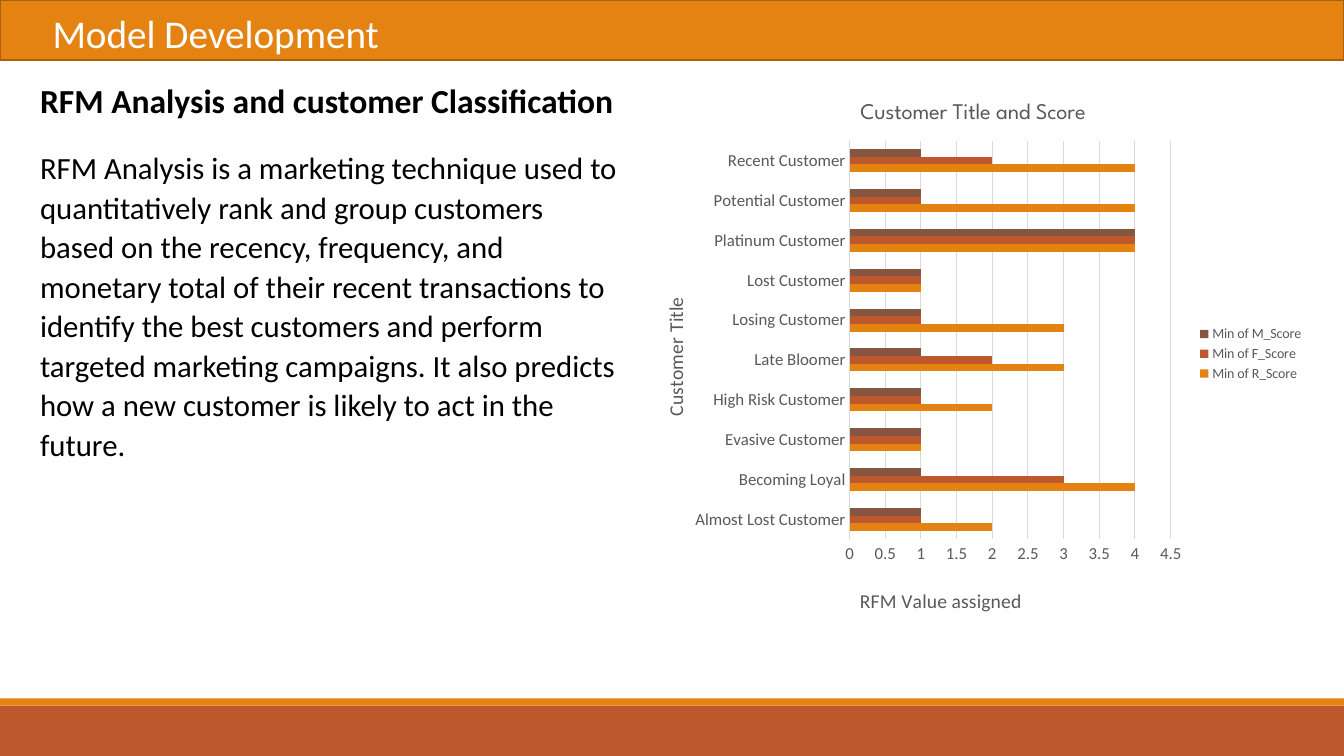
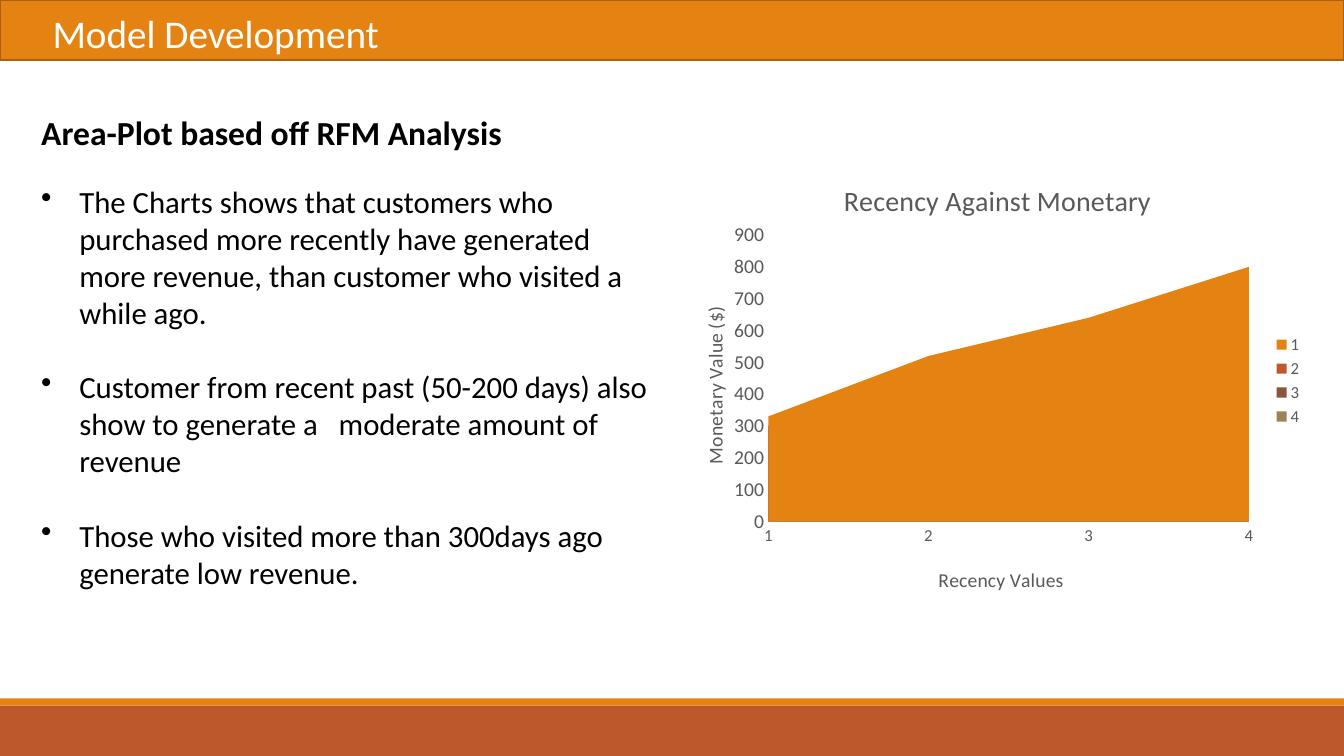
from lxml import etree
from pptx import Presentation
from pptx.chart.data import CategoryChartData
from pptx.dml.color import RGBColor
from pptx.enum import chart as c, shapes, text as t
from pptx.oxml.ns import qn
from pptx.util import Cm, Pt

rgb = RGBColor.from_string
ORANGE, RUST, BROWN, OLIVE = "E48312", "BD582C", "865640", "9B8357"
EDGE, WHITE, BLACK, GREY, RULE = "A9610D", "FFFFFF", "000000", "595959", "D9D9D9"
FONT = "Calibri"
WIDTH, HEIGHT = 33.87, 19.05
BAND_TOP, STRIPE = 17.78, 0.18


def write(tf, text, size, color=BLACK, bold=False, font=FONT, after=0, spacing=None, bullet=False):
    """Fill the first paragraph of the frame, or add one when it is taken."""
    p = tf.add_paragraph() if tf.text else tf.paragraphs[0]
    r = p.add_run()
    r.text = text
    r.font.size, r.font.bold, r.font.name = Pt(size), bold, font
    r.font.color.rgb = rgb(color)
    p.space_after = Pt(after)
    if spacing:
        p.line_spacing = spacing
    if bullet:
        pPr = p._p.get_or_add_pPr()
        pPr.set("marL", str(Cm(0.96)))
        pPr.set("indent", str(-Cm(0.96)))
        etree.SubElement(pPr, qn("a:buChar")).set("char", "•")
    return p


def place(element, index, **fractions):
    """Give a chart part a manual layout in fractions of the chart area."""
    for old in element.findall(qn("c:layout")):
        element.remove(old)
    layout = etree.Element(qn("c:layout"))
    manual = etree.SubElement(layout, qn("c:manualLayout"))
    if "w" in fractions:
        etree.SubElement(manual, qn("c:layoutTarget")).set("val", "inner")
    for side in "xy":
        etree.SubElement(manual, qn(f"c:{side}Mode")).set("val", "edge")
    for name, value in fractions.items():
        etree.SubElement(manual, qn(f"c:{name}")).set("val", str(value))
    element.insert(index, layout)


SLIDES = [
    {
        "boxes": [
            ((0.76, 3.56, 15.14, 10.82), [
                ("RFM Analysis is a marketing technique used to quantitatively rank and group "
                 "customers based on the recency, frequency, and monetary total of their recent "
                 "transactions to identify the best customers and perform targeted marketing "
                 "campaigns. It also predicts how a new customer is likely to act in the future.",
                 dict(size=22, after=8, spacing=1.07)),
            ]),
            ((0.76, 1.9, 15.47, 1.27), [
                ("RFM Analysis and customer Classification", dict(size=24, bold=True)),
            ]),
        ],
        "type": c.XL_CHART_TYPE.BAR_CLUSTERED,
        "at": (15.9, 2.03, 17.22, 13.77),
        "plot": dict(x=0.32, y=0.11, w=0.47, h=0.73),
        "title": ("Customer Title and Score", 16, "League Spartan", 0.33, 0.03),
        "cat_title": ("Customer Title", 0.04, 0.39),
        "val_title": ("RFM Value assigned", 0.33, 0.92),
        "val_size": 12, "legend_size": 10, "max": 4.5, "unit": 0.5,
        "cats": ["Almost Lost Customer", "Becoming Loyal", "Evasive Customer",
                 "High Risk Customer", "Late Bloomer", "Losing Customer", "Lost Customer",
                 "Platinum Customer", "Potential Customer", "Recent Customer"],
        "series": [
            ("Min of R_Score", [2, 4, 1, 2, 3, 3, 1, 4, 4, 4]),
            ("Min of F_Score", [1, 3, 1, 1, 2, 1, 1, 4, 1, 2]),
            ("Min of M_Score", [1, 1, 1, 1, 1, 1, 1, 4, 1, 1]),
        ],
    },
    {
        "boxes": [
            ((0.79, 2.69, 16.15, 14.1), [
                ("Area-Plot based off RFM Analysis", dict(size=24, bold=True, after=22)),
                ("The Charts shows that customers who purchased more recently have generated "
                 "more revenue, than customer who visited a while ago.",
                 dict(size=22, after=26.8, bullet=True)),
                ("Customer from recent past (50-200 days) also show to generate a   moderate "
                 "amount of revenue", dict(size=22, after=26.8, bullet=True)),
                ("Those who visited more than 300days ago generate low revenue.",
                 dict(size=22, bullet=True)),
            ]),
        ],
        "type": c.XL_CHART_TYPE.AREA,
        "at": (16.94, 3.86, 16.15, 11.46),
        "plot": dict(x=0.15, y=0.18, w=0.75, h=0.63),
        "title": ("Recency Against Monetary", 20, FONT, 0.26, 0.05),
        "cat_title": ("Recency Values", 0.41, 0.9),
        "val_title": ("Monetary Value ($)", 0.04, 0.33),
        "val_size": 14, "legend_size": 12, "max": 900, "unit": 100,
        "cats": ["1", "2", "3", "4"],
        "series": [
            ("1", [330, 520, 640, 800]),
            ("2", [300, 460, 560, 710]),
            ("3", [300, 440, 550, 680]),
            ("4", [290, 440, 540, 690]),
        ],
    },
]

prs = Presentation()
prs.slide_width, prs.slide_height = Cm(WIDTH), Cm(HEIGHT)
layout = prs.slide_layouts[5]
for ph in list(layout.placeholders):
    if ph.placeholder_format.type == shapes.PP_PLACEHOLDER.TITLE:
        ph.left, ph.top, ph.width, ph.height = Cm(1.07), Cm(0.1), Cm(9.75), Cm(1.45)
    else:
        ph._element.getparent().remove(ph._element)
slides = [prs.slides.add_slide(layout) for _ in SLIDES]

# Bands are drawn once and moved to the layout, behind its title
bands = [
    (BAND_TOP, HEIGHT - BAND_TOP, RUST, None),
    (BAND_TOP - STRIPE, STRIPE, ORANGE, None),
    (0, 1.52, ORANGE, EDGE),
]
for i, (top, height, fill, line) in enumerate(bands):
    sp = slides[0].shapes.add_shape(shapes.MSO_SHAPE.RECTANGLE, 0, Cm(top), Cm(WIDTH), Cm(height))
    sp.shadow.inherit = False
    sp.fill.solid()
    sp.fill.fore_color.rgb = rgb(fill)
    if line:
        sp.line.color.rgb = rgb(line)
        sp.line.width = Pt(1.25)
    else:
        sp.line.fill.background()
    layout.shapes._spTree.insert(2 + i, sp._element)

for s, spec in zip(slides, SLIDES):
    tf = s.shapes.title.text_frame
    tf.auto_size = t.MSO_AUTO_SIZE.NONE
    tf.vertical_anchor = t.MSO_ANCHOR.TOP
    write(tf, "Model Development", 28, WHITE).alignment = t.PP_ALIGN.LEFT

    for box, paragraphs in spec["boxes"]:
        tf = s.shapes.add_textbox(*map(Cm, box)).text_frame
        tf.word_wrap = True
        for text, style in paragraphs:
            write(tf, text, **style)

    data = CategoryChartData()
    data.categories = spec["cats"]
    for name, values in spec["series"]:
        data.add_series(name, values)
    chart = s.shapes.add_chart(spec["type"], *map(Cm, spec["at"]), data).chart
    chart.font.name, chart.font.size = FONT, Pt(10)
    is_bar = spec["type"] == c.XL_CHART_TYPE.BAR_CLUSTERED

    plot = chart.plots[0]
    plot.vary_by_categories = False
    if is_bar:
        plot.gap_width = 219
    for series, color in zip(plot.series, (ORANGE, RUST, BROWN, OLIVE)):
        series.format.fill.solid()
        series.format.fill.fore_color.rgb = rgb(color)
    place(chart._chartSpace.chart.plotArea, 0, **spec["plot"])

    text, size, font, x, y = spec["title"]
    chart.has_title = True
    write(chart.chart_title.text_frame, text, size, GREY, font=font)
    place(chart.chart_title._element, 1, x=x, y=y)

    cat, val = chart.category_axis, chart.value_axis
    for axis, key, size, upright in ((cat, "cat_title", 12, is_bar),
                                     (val, "val_title", spec["val_size"], not is_bar)):
        text, x, y = spec[key]
        tf = axis.axis_title.text_frame
        write(tf, text, 14, GREY)
        if upright:
            tf._txBody.bodyPr.set("rot", "-5400000")
            tf._txBody.bodyPr.set("vert", "horz")
        place(axis.axis_title._element, 1, x=x, y=y)
        axis.major_tick_mark = axis.minor_tick_mark = c.XL_TICK_MARK.NONE
        labels = axis.tick_labels.font
        labels.name, labels.size = FONT, Pt(size)
        labels.color.rgb = rgb(GREY)

    cat.format.line.color.rgb = rgb(RULE)
    cat.format.line.width = Pt(0.75)
    val.format.line.fill.background()
    val.minimum_scale, val.maximum_scale, val.major_unit = 0, spec["max"], spec["unit"]
    val.has_major_gridlines = is_bar
    if is_bar:
        val.major_gridlines.format.line.color.rgb = rgb(RULE)
        val.major_gridlines.format.line.width = Pt(0.75)
    else:
        val._element.find(qn("c:crossBetween")).set("val", "midCat")

    chart.has_legend = True
    legend = chart.legend
    legend.position = c.XL_LEGEND_POSITION.RIGHT
    legend.include_in_layout = False
    legend.font.name, legend.font.size = FONT, Pt(spec["legend_size"])
    legend.font.color.rgb = rgb(GREY)

prs.save("out.pptx")
